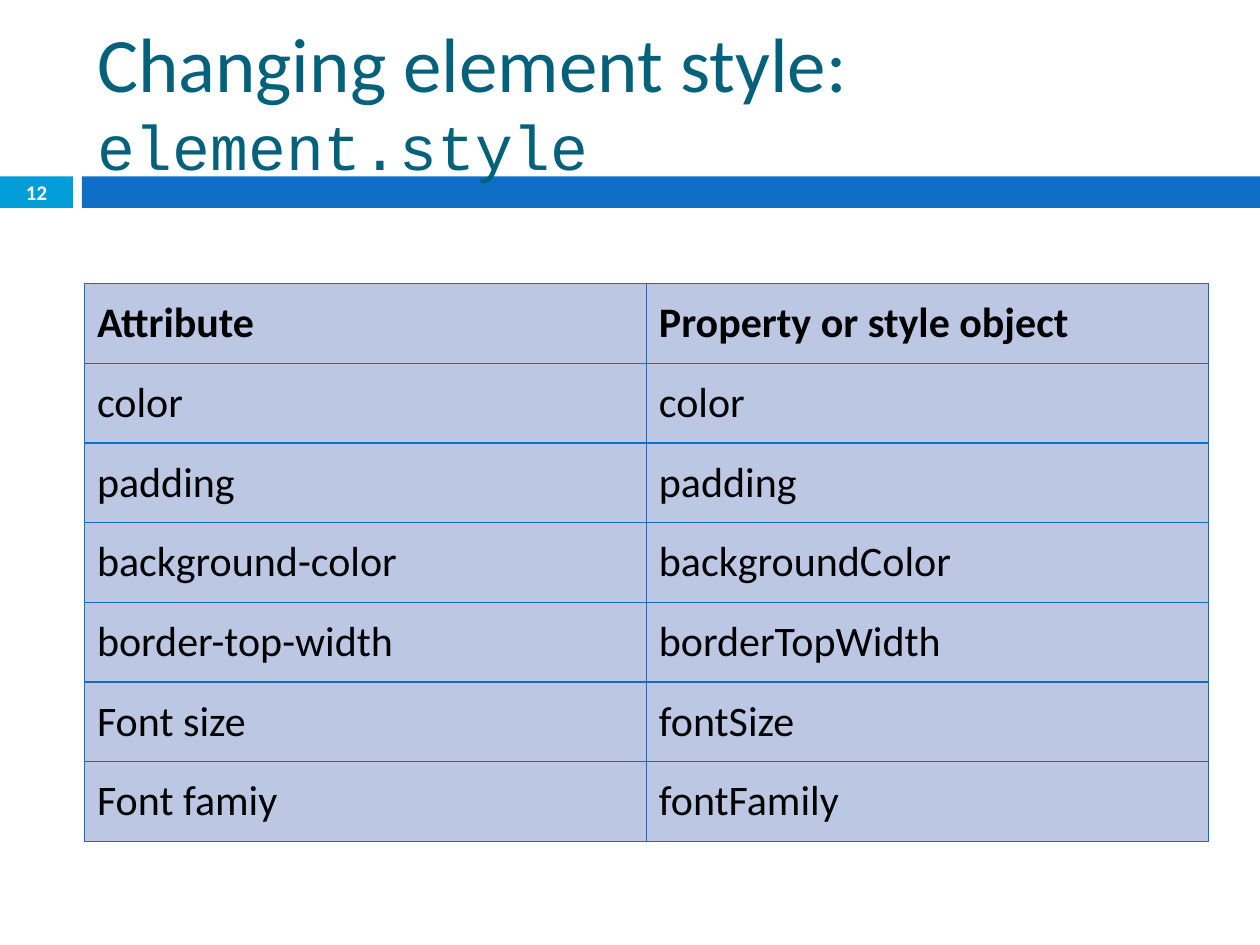
from lxml import etree
from pptx import Presentation
from pptx.dml.color import RGBColor
from pptx.enum.shapes import MSO_SHAPE
from pptx.enum.text import MSO_ANCHOR, MSO_AUTO_SIZE, PP_ALIGN
from pptx.oxml.ns import qn
from pptx.util import Inches, Pt


def rgb(value):
    return RGBColor.from_string(value)


class Deck:
    """Style and current slide, with one method for each kind of element."""

    BODY, CODE = "Calibri", "Courier New"
    TITLE, CYAN, BLUE, CELL = "04617B", "009DD9", "0F6FC6", "BCC7E4"
    WHITE, BLACK = "FFFFFF", "000000"

    def __init__(self, width, height):
        self.prs = Presentation()
        self.prs.slide_width, self.prs.slide_height = Inches(width), Inches(height)

    def add_slide(self):
        self.slide = self.prs.slides.add_slide(self.prs.slide_layouts[5])
        self.slide.background.fill.solid()
        self.slide.background.fill.fore_color.rgb = rgb(self.WHITE)

    def add_text(self, paragraph, text, size, color, font=BODY, bold=False):
        run = paragraph.add_run()
        run.text = text
        run.font.size, run.font.name, run.font.bold = Pt(size), font, bold
        run.font.color.rgb = rgb(color)

    def bar(self, left, top, width, height, color):
        shape = self.slide.shapes.add_shape(
            MSO_SHAPE.RECTANGLE, *map(Inches, (left, top, width, height)))
        shape.shadow.inherit = False
        shape.fill.solid()
        shape.fill.fore_color.rgb = rgb(color)
        shape.line.fill.background()

    def title(self, left, top, width, height, runs):
        title = self.slide.shapes.title
        title.left, title.top, title.width, title.height = map(
            Inches, (left, top, width, height))
        frame = title.text_frame
        frame.word_wrap, frame.auto_size = True, MSO_AUTO_SIZE.NONE
        frame.vertical_anchor = MSO_ANCHOR.MIDDLE
        paragraph = frame.paragraphs[0]
        paragraph.alignment = PP_ALIGN.LEFT
        for text, size, font in runs:
            self.add_text(paragraph, text, size, self.TITLE, font)
        self.slide.shapes.element.append(title.element)

    def page_number(self, left, top, width, height, text):
        box = self.slide.shapes.add_textbox(*map(Inches, (left, top, width, height)))
        frame = box.text_frame
        frame.word_wrap, frame.vertical_anchor = True, MSO_ANCHOR.MIDDLE
        frame.paragraphs[0].alignment = PP_ALIGN.CENTER
        self.add_text(frame.paragraphs[0], text, 11.9, self.WHITE, bold=True)

    def borders(self, cell):
        props = cell._tc.get_or_add_tcPr()
        for index, side in enumerate(("a:lnL", "a:lnR", "a:lnT", "a:lnB")):
            line = etree.Element(qn(side), w=str(Pt(0.79)))
            fill = etree.SubElement(line, qn("a:solidFill"))
            etree.SubElement(fill, qn("a:srgbClr"), val=self.BLUE)
            props.insert(index, line)

    def table(self, left, top, width, height, rows):
        frame = self.slide.shapes.add_table(
            len(rows), len(rows[0]), *map(Inches, (left, top, width, height)))
        for r, row in enumerate(rows):
            for c, text in enumerate(row):
                cell = frame.table.cell(r, c)
                cell.fill.solid()
                cell.fill.fore_color.rgb = rgb(self.CELL)
                cell.vertical_anchor = MSO_ANCHOR.MIDDLE
                self.add_text(cell.text_frame.paragraphs[0], text, 24, self.BLACK,
                              bold=r == 0)
                self.borders(cell)


deck = Deck(10, 7.5)
deck.add_slide()
deck.bar(0, 1.4, 0.58, 0.25, deck.CYAN)
deck.bar(0.65, 1.4, 9.35, 0.25, deck.BLUE)
deck.title(0.67, 0.25, 8.92, 1.08, [
    ("Changing element style: ", 44, deck.BODY),
    ("element.style", 36, deck.CODE),
])
deck.page_number(0, 1.39, 0.58, 0.27, "12")
deck.table(0.67, 2.25, 8.92, 4.43, [
    ("Attribute", "Property or style object"),
    ("color", "color"),
    ("padding", "padding"),
    ("background-color", "backgroundColor"),
    ("border-top-width", "borderTopWidth"),
    ("Font size", "fontSize"),
    ("Font famiy", "fontFamily"),
])
deck.prs.save("out.pptx")
